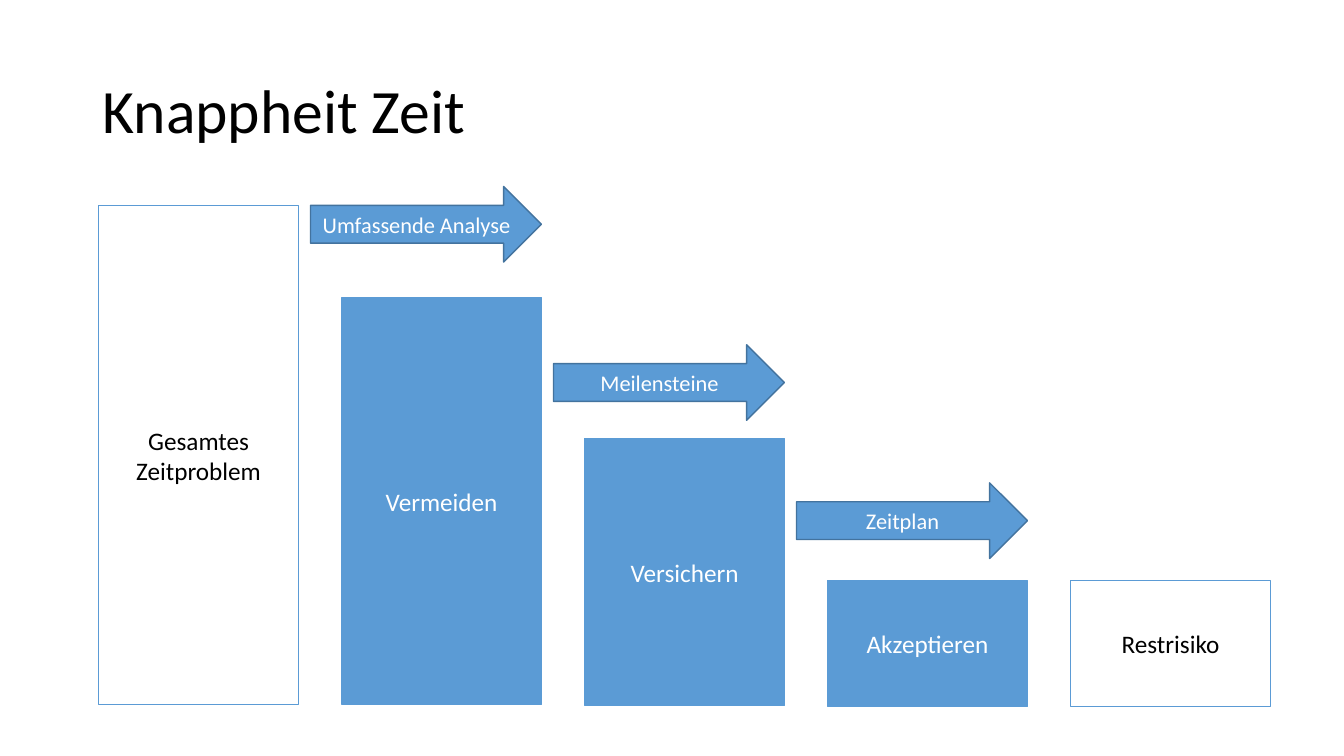
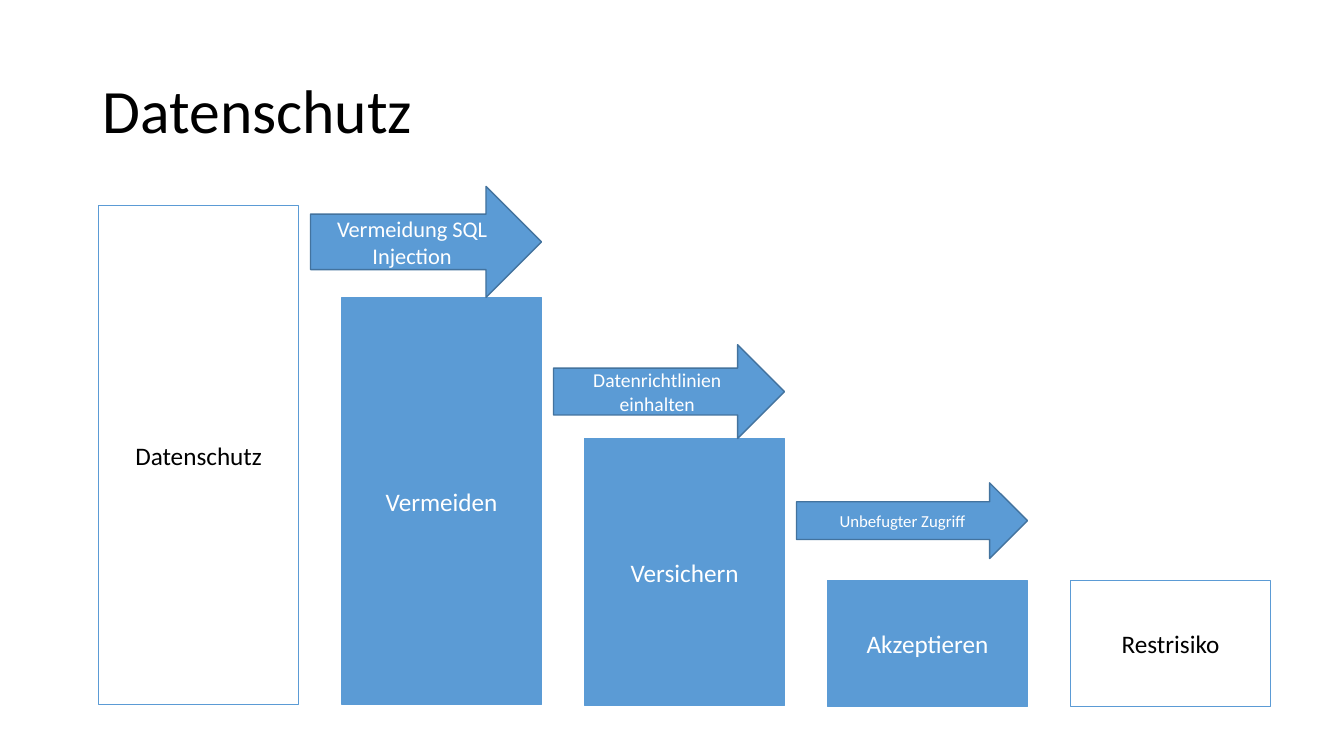
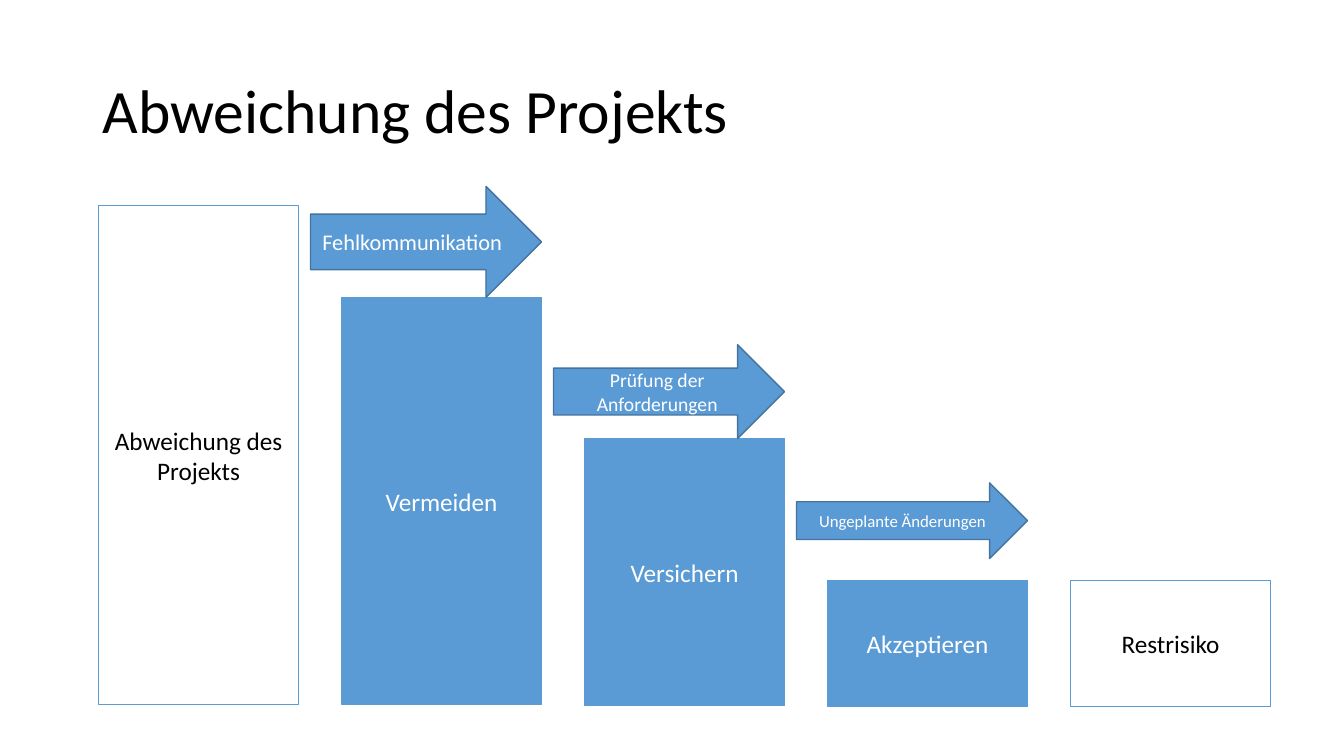
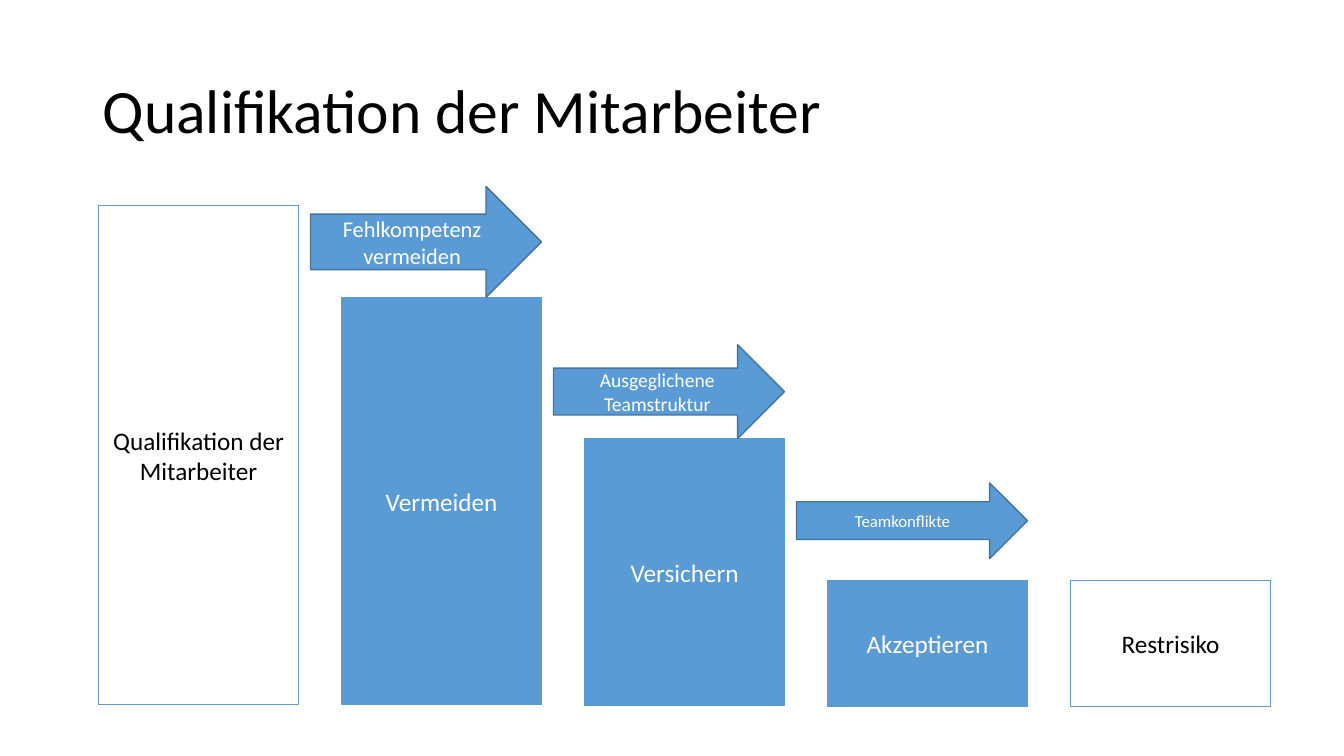
from pptx import Presentation
from pptx.dml.color import RGBColor
from pptx.enum.shapes import MSO_SHAPE
from pptx.enum.text import MSO_ANCHOR, PP_ALIGN
from pptx.util import Inches, Pt

# Shared look
BLUE, EDGE, WHITE, BLACK = "5B9BD5", "43739E", "FFFFFF", "000000"
FONT = "Calibri"
HEAD = (0.92, 0.4, 11.5, 1.45)
STAIRS = (0.98, 1.85, 11.62, 5.16)
GAP = 0.43    # between bars
LEAD = 0.31   # how far an arrow starts before the next bar

# Bars after the first: label, top in the box, height, fill, text colour
STEPS = [
    ("Vermeiden", 1.1, 4.04, BLUE, WHITE),
    ("Versichern", 2.5, 2.65, BLUE, WHITE),
    ("Akzeptieren", 3.91, 1.25, BLUE, WHITE),
    ("Restrisiko", 3.91, 1.25, WHITE, BLACK),
]
RISES = (0, 1.57, 2.94)  # arrow tops in the box

# Arrow heights and text sizes
SLIM = [(0.75, 16), (0.75, 16), (0.75, 16)]
WIDE = [(1.1, 16), (0.93, 14), (0.75, 12)]

# Title, first bar, arrow labels, arrow sizes
SLIDES = [
    ("Knappheit Zeit", "Gesamtes\vZeitproblem",
     ("Umfassende Analyse", "Meilensteine", "Zeitplan"), SLIM),
    ("Datenschutz", "Datenschutz",
     ("Vermeidung SQL Injection", "Datenrichtlinien einhalten",
      "Unbefugter Zugriff"), WIDE),
    ("Abweichung des Projekts", "Abweichung des Projekts",
     ("Fehlkommunikation", "Prüfung der Anforderungen",
      "Ungeplante Änderungen"), WIDE),
    ("Qualifikation der Mitarbeiter", "Qualifikation der Mitarbeiter",
     ("Fehlkompetenz vermeiden", "Ausgeglichene Teamstruktur",
      "Teamkonflikte"), WIDE),
]


def tint(value):
    return RGBColor.from_string(value)


def write(shape, text, size, color, **form):
    frame = shape.text_frame
    frame.word_wrap = True
    frame.vertical_anchor = MSO_ANCHOR.MIDDLE
    para = frame.paragraphs[0]
    para.text = text
    for name, value in form.items():
        setattr(para, name, value)
    for name, value in {"name": FONT, "size": Pt(size)}.items():
        setattr(para.font, name, value)
    para.font.color.rgb = tint(color)


def block(slide, kind, box, text, size, fill, line, color):
    shape = slide.shapes.add_shape(kind, *map(Inches, box))
    shape.shadow.inherit = False
    shape.fill.solid()
    shape.fill.fore_color.rgb = tint(fill)
    shape.line.color.rgb = tint(line)
    shape.line.width = Pt(1)
    write(shape, text, size, color, alignment=PP_ALIGN.CENTER)


def title(slide, box, text):
    shape = slide.shapes.add_textbox(*map(Inches, box))
    write(shape, text, 44, BLACK, line_spacing=0.9)


def stairs(slide, box, first, labels, sizes):
    left, top, width, _ = box
    bars = [(first, 0.19, 4.95, WHITE, BLACK)] + STEPS
    wide = (width - GAP * (len(bars) - 1)) / len(bars)
    pitch = wide + GAP

    # Falling bars
    for i, (text, drop, high, fill, color) in enumerate(bars):
        place = (left + i * pitch, top + drop, wide, high)
        block(slide, MSO_SHAPE.RECTANGLE, place, text, 18, fill, BLUE, color)

    # Arrows, each ending flush with the bar below it
    for i, (text, drop, (high, size)) in enumerate(zip(labels, RISES, sizes), 1):
        place = (left + i * pitch - LEAD, top + drop, wide + LEAD, high)
        block(slide, MSO_SHAPE.RIGHT_ARROW, place, text, size, BLUE, EDGE, WHITE)


def main():
    deck = Presentation()
    deck.slide_width, deck.slide_height = Inches(13.33), Inches(7.5)
    for head, first, labels, sizes in SLIDES:
        slide = deck.slides.add_slide(deck.slide_layouts[6])
        title(slide, HEAD, head)
        stairs(slide, STAIRS, first, labels, sizes)
    deck.save("out.pptx")


if __name__ == "__main__":
    main()
